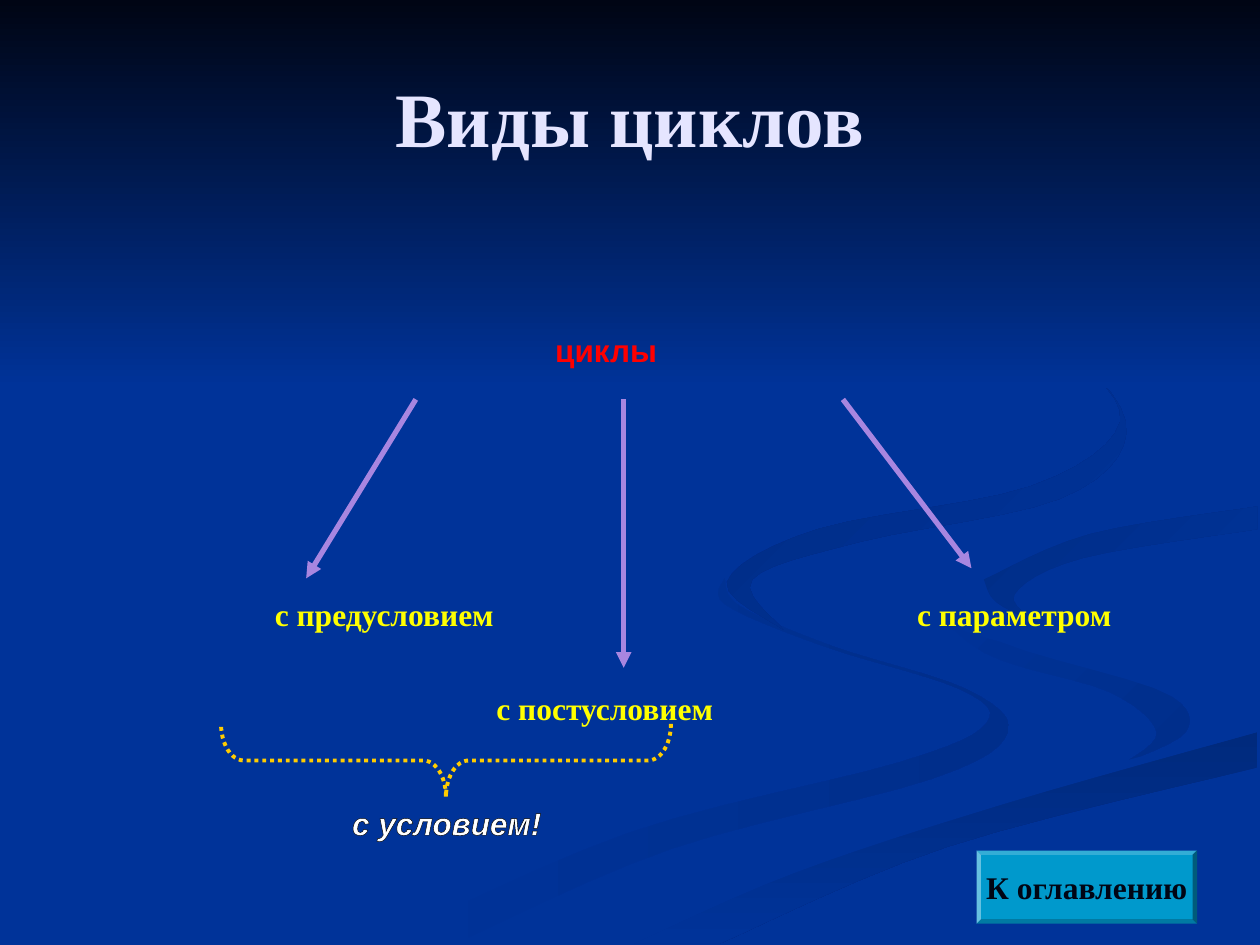
from lxml import etree
from pptx import Presentation
from pptx.dml.color import RGBColor
from pptx.enum import dml, shapes, text
from pptx.oxml.ns import qn
from pptx.util import Inches, Pt

COLORS = {
    "blue": "003399", "night": "000514", "deep": "002A7D", "navy": "002B82",
    "dusk": "002D86", "shade": "002E8B", "pale": "E5E5FF", "red": "FF0000",
    "yellow": "FFFF00", "gold": "FFCC00", "lilac": "A886E0", "white": "FFFFFF",
    "black": "000000", "teal": "0099CC",
}
SERIF, SANS = "Times New Roman", "Arial"

# Edges shared by neighbouring ribbons
RIM = [(5.03, 7.49), (6.3, 6.93), (7.97, 6.38), (9.98, 5.81)]
BEND = [(9.98, 4.02), (8.65, 4.24), (7.81, 4.6)]

# Background ribbons: start colour, end colour, angle, smooth edges in turn
RIBBONS = [
    ("blue", "shade", 0, [
        [(5.75, 4.59), (5.76, 4.8), (6.54, 5.13), (7.62, 5.47), (7.83, 5.74),
         (7.14, 6.05), (4.99, 6.61), (3, 7.49)],
        [(3.61, 7.49), (5.32, 6.74), (7.4, 6.18), (8, 5.81), (7.67, 5.47),
         (6.61, 5.13), (5.87, 4.81), (5.75, 4.59)]]),
    ("blue", "shade", 45, [
        [(7.24, 4.64), (7.58, 4.98), (8.5, 5.24), (9.3, 5.53), (9.41, 5.81),
         (8.94, 6.05)],
        [(8.94, 6.05), (9.18, 5.81), (8.8, 5.49), (7.81, 5.18), (7.24, 4.64)]]),
    ("deep", "blue", 90, [RIM, [(9.98, 6.09), (7.52, 6.72), (5.71, 7.49)]]),
    ("blue", "blue", 0, [
        [(9.98, 3.87), (8.08, 4.17), (7.25, 4.64), (7.93, 5.09), (9.31, 5.53),
         (9.26, 5.93), (7.43, 6.43), (4.77, 7.49)],
        RIM, [(9.98, 5.38), (8.48, 5.03), (7.81, 4.6)], BEND[::-1]]),
    ("dusk", "blue", 45, [
        BEND, [(7.81, 4.6), (7.91, 4.78), (8.26, 4.96)],
        [(8.26, 4.96), (8.05, 4.72), (8.59, 4.43), (9.98, 4.2)]]),
    ("navy", "blue", 45, [
        [(7.62, 2.33), (8.54, 2.83), (8.94, 3.44), (8.41, 3.96), (6.83, 4.3),
         (5.97, 4.6), (6.22, 5)],
        [(6.22, 5), (5.77, 4.62), (6.49, 4.2), (8.18, 3.86), (8.89, 3.35),
         (8.46, 2.79), (7.62, 2.33)]]),
    ("night", "blue", 90, [[(0, 0), (0, 3.08)], [(10, 3.08), (10, 0)]]),
]

KIND = {"size": 18, "name": SERIF, "color": "yellow"}
LABELS = [
    ("Виды циклов", (0.5, 0.3, 9, 1.25), {"size": 44, "name": SERIF, "color": "pale"}),
    ("циклы", (3, 2.58, 3.62, 0.63), {"size": 18, "name": SANS, "color": "red"}),
    ("с предусловием", (1.75, 4.67, 2.6, 0.63), KIND),
    ("с постусловием", (3.5, 5.42, 2.6, 0.63), KIND),
    ("с параметром", (6.75, 4.67, 2.6, 0.63), KIND),
    ("с условием!", (2.17, 6.33, 2.75, 0.57),
     {"size": 18, "name": SANS, "color": "white", "italic": True, "edge": "black"}),
]
ARROWS = [(3.3, 3.17, 2.43, 4.59), (4.95, 3.17, 4.95, 5.3), (6.69, 3.17, 7.71, 4.51)]
BRACE = (3.25, 4.25, 0.58, 3.57)
BUTTON = ("К оглавлению", (7.75, 6.75, 1.75, 0.58),
          {"size": 18, "name": SERIF, "color": "night"})


def rgb(name):
    return RGBColor.from_string(COLORS[name])


def inch(nums):
    return [Inches(n) for n in nums]


def smooth(knots, steps=6):
    """Points of a Catmull-Rom curve through the knots."""
    if len(knots) < 3:
        return knots
    ends = [knots[0], *knots, knots[-1]]
    curve = [knots[0]]
    for quad in zip(ends, ends[1:], ends[2:], ends[3:]):
        for step in range(1, steps + 1):
            t = step / steps
            curve.append(tuple(
                b + t * (c - a) / 2 + t**2 * (a - 2.5 * b + 2 * c - d / 2)
                + t**3 * (3 * (b - c) + d - a) / 2
                for a, b, c, d in zip(*quad)))
    return curve


def paint(shape, first, last, angle):
    shape.shadow.inherit = False
    shape.line.fill.background()
    if first == last:
        shape.fill.solid()
        shape.fill.fore_color.rgb = rgb(first)
        return
    shape.fill.gradient()
    shape.fill.gradient_angle = -angle % 360
    for stop, name in zip(shape.fill.gradient_stops, (first, last)):
        stop.color.rgb = rgb(name)


def write(shape, words, style, anchor, wrap=True):
    frame = shape.text_frame
    frame.word_wrap, frame.vertical_anchor = wrap, anchor
    para = frame.paragraphs[0]
    para.alignment = text.PP_ALIGN.CENTER
    run = para.add_run()
    run.text = words
    look = {"bold": True, **style, "size": Pt(style["size"])}
    run.font.color.rgb = rgb(look.pop("color"))
    edge = look.pop("edge", None)
    for key, value in look.items():
        setattr(run.font, key, value)
    if edge:
        line = etree.Element(qn("a:ln"), w=str(Pt(0.75)))
        fill = etree.SubElement(line, qn("a:solidFill"))
        etree.SubElement(fill, qn("a:srgbClr"), val=COLORS[edge])
        run.font._element.insert(0, line)


deck = Presentation()
deck.slide_width, deck.slide_height = inch((10, 7.5))
slide = deck.slides.add_slide(deck.slide_layouts[6])
slide.background.fill.solid()
slide.background.fill.fore_color.rgb = rgb("blue")
items = slide.shapes

for first, last, angle, edges in RIBBONS:
    points = [point for edge in edges for point in smooth(edge)]
    pen = items.build_freeform(*inch(points[0]))
    pen.add_line_segments([inch(point) for point in points[1:]], close=True)
    paint(pen.convert_to_shape(), first, last, angle)

for words, place, style in LABELS:
    title = style["size"] > 18
    anchor = text.MSO_ANCHOR.MIDDLE if title else text.MSO_ANCHOR.TOP
    write(items.add_textbox(*inch(place)), words, style, anchor)

for ends in ARROWS:
    arrow = items.add_connector(shapes.MSO_CONNECTOR.STRAIGHT, *inch(ends))
    arrow.line.color.rgb, arrow.line.width = rgb("lilac"), Pt(3)
    etree.SubElement(arrow.line._get_or_add_ln(), qn("a:tailEnd"), type="triangle")
    etree.SubElement(arrow._element.spPr, qn("a:effectLst"))

brace = items.add_shape(shapes.MSO_SHAPE.LEFT_BRACE, *inch(BRACE))
brace.rotation, brace.adjustments[0] = 270, 0.31
brace.shadow.inherit = False
brace.fill.background()
brace.line.color.rgb, brace.line.width = rgb("gold"), Pt(2.25)
brace.line.dash_style = dml.MSO_LINE.ROUND_DOT

words, place, style = BUTTON
button = items.add_shape(shapes.MSO_SHAPE.BEVEL, *inch(place))
button.adjustments[0] = 0.06
paint(button, "teal", "teal", 0)
write(button, words, style, text.MSO_ANCHOR.MIDDLE, wrap=False)

deck.save("out.pptx")
